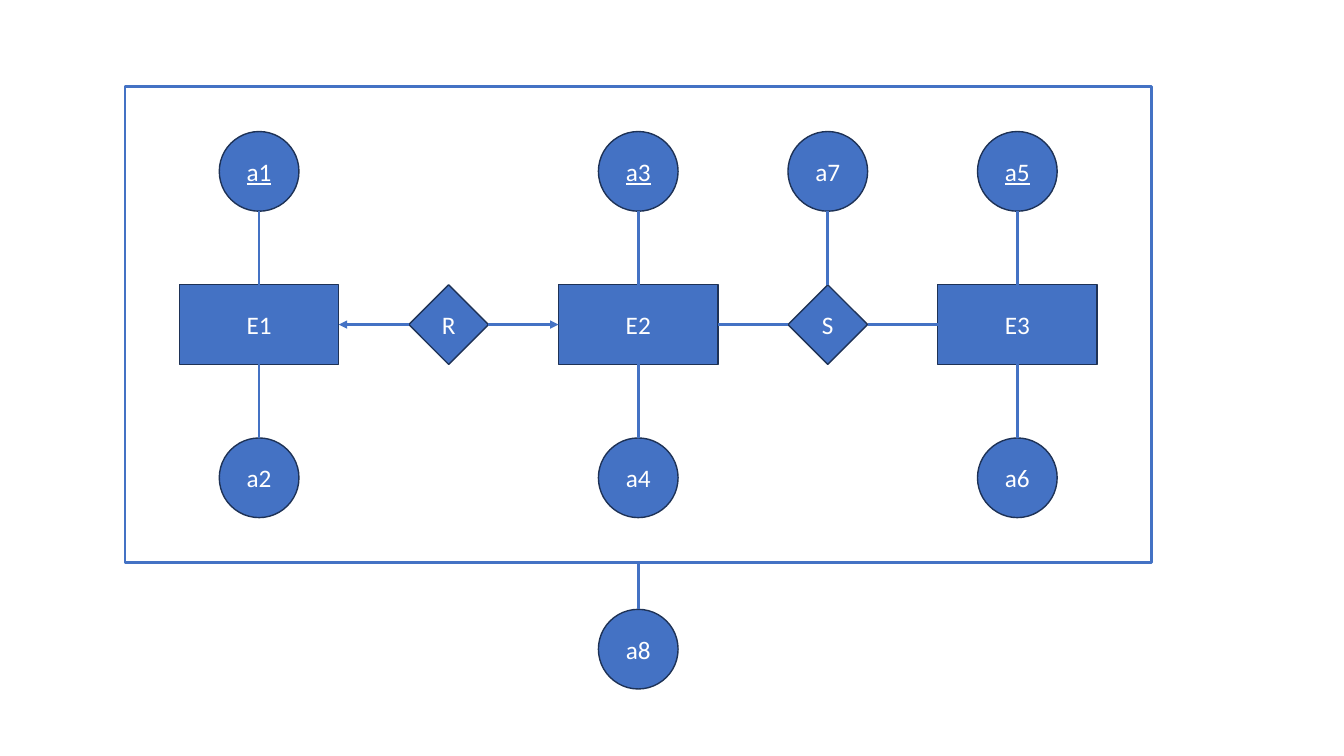
from lxml import etree
from pptx import Presentation
from pptx import util as u
from pptx.dml.color import RGBColor
from pptx.enum import shapes, text
from pptx.oxml import ns

BLUE = RGBColor(0x44, 0x72, 0xC4)
NAVY = RGBColor(0x1E, 0x32, 0x56)
WHITE = RGBColor(0xFF, 0xFF, 0xFF)

# label: (kind, column, row)
NODES = {
    "E1": ("entity", 0, 1),
    "R": ("relationship", 1, 1),
    "E2": ("entity", 2, 1),
    "S": ("relationship", 3, 1),
    "E3": ("entity", 4, 1),
    "a1": ("attribute", 0, 0),
    "a3": ("attribute", 2, 0),
    "a7": ("attribute", 3, 0),
    "a5": ("attribute", 4, 0),
    "a2": ("attribute", 0, 2),
    "a4": ("attribute", 2, 2),
    "a6": ("attribute", 4, 2),
    "a8": ("attribute", 2, 3),
}
KEYS = {"a1", "a3", "a5"}
# start, end, arrowhead at end
LINKS = [
    ("R", "E1", True), ("R", "E2", True), ("E2", "S", False), ("S", "E3", False),
    ("a1", "E1", False), ("E1", "a2", False),
    ("a3", "E2", False), ("E2", "a4", False),
    ("a7", "S", False),
    ("a5", "E3", False), ("E3", "a6", False),
    ("a8", "aggregate", False),
]

FIRST_COLUMN, COLUMN_PITCH = 2.57, 1.88
ROW_CENTRES = (1.7, 3.22, 4.74, 6.44)
UNIT = 0.79
KINDS = {
    "entity": (shapes.MSO_SHAPE.RECTANGLE, 2 * UNIT, UNIT),
    "relationship": (shapes.MSO_SHAPE.DIAMOND, UNIT, UNIT),
    "attribute": (shapes.MSO_SHAPE.OVAL, UNIT, UNIT),
}
AGGREGATE_SIZE = (10.18, 4.73)


def centre(column, row):
    return FIRST_COLUMN + column * COLUMN_PITCH, ROW_CENTRES[row]


def add_centred(slide, preset, x, y, width, height):
    shape = slide.shapes.add_shape(
        preset, *map(u.Inches, (x - width / 2, y - height / 2, width, height)))
    shape.shadow.inherit = False
    return shape


def add_node(slide, label, kind, column, row):
    preset, width, height = KINDS[kind]
    node = add_centred(slide, preset, *centre(column, row), width, height)
    node.fill.solid()
    node.fill.fore_color.rgb = BLUE
    node.line.color.rgb = NAVY
    node.line.width = u.Pt(1)
    frame = node.text_frame
    frame.margin_left = frame.margin_right = 0
    frame.vertical_anchor = text.MSO_ANCHOR.MIDDLE
    paragraph = frame.paragraphs[0]
    paragraph.alignment = text.PP_ALIGN.CENTER
    run = paragraph.add_run()
    run.text = label
    run.font.name = "Calibri"
    run.font.size = u.Pt(18)
    run.font.color.rgb = WHITE
    if label in KEYS:
        run.font.underline = True
    return node


def facing_points(start, end):
    """Midpoints of the two sides that face each other."""
    start_x, end_x = (s.left + s.width // 2 for s in (start, end))
    start_y, end_y = (s.top + s.height // 2 for s in (start, end))
    if start.left + start.width < end.left:
        return start.left + start.width, start_y, end.left, end_y
    if end.left + end.width < start.left:
        return start.left, start_y, end.left + end.width, end_y
    if start.top < end.top:
        return start_x, start.top + start.height, end_x, end.top
    return start_x, start.top, end_x, end.top + end.height


def add_link(slide, start, end, arrow):
    link = slide.shapes.add_connector(
        shapes.MSO_CONNECTOR.STRAIGHT, *facing_points(start, end))
    link.line.color.rgb = BLUE
    link.line.width = u.Pt(2)
    if arrow:
        etree.SubElement(link.line._get_or_add_ln(), ns.qn("a:tailEnd"), type="triangle")
    etree.SubElement(link._element.spPr, ns.qn("a:effectLst"))


def main():
    deck = Presentation()
    deck.slide_width, deck.slide_height = u.Inches(13.33), u.Inches(7.5)
    slide = deck.slides.add_slide(deck.slide_layouts[6])

    aggregate = add_centred(
        slide, shapes.MSO_SHAPE.RECTANGLE, *centre(2, 1), *AGGREGATE_SIZE)
    aggregate.fill.background()
    aggregate.line.color.rgb = BLUE
    aggregate.line.width = u.Pt(2)

    parts = {label: add_node(slide, label, *place) for label, place in NODES.items()}
    parts["aggregate"] = aggregate
    for start, end, arrow in LINKS:
        add_link(slide, parts[start], parts[end], arrow)

    deck.save("out.pptx")


if __name__ == "__main__":
    main()
